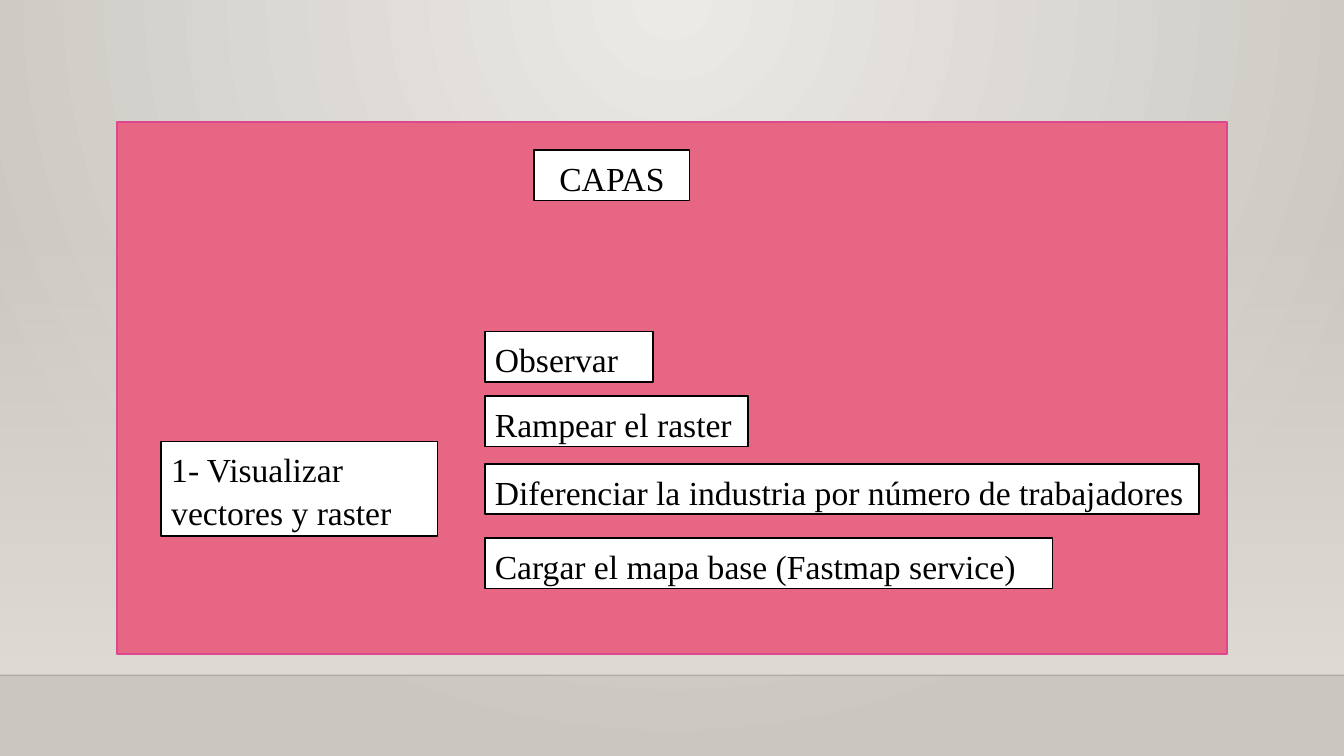
from lxml import etree
from pptx import Presentation
from pptx.dml.color import RGBColor
from pptx.enum.dml import MSO_FILL
from pptx.enum.shapes import MSO_CONNECTOR, MSO_SHAPE
from pptx.enum.text import MSO_ANCHOR, MSO_AUTO_SIZE, PP_ALIGN
from pptx.oxml import parse_xml
from pptx.oxml.ns import nsdecls, qn
from pptx.util import Inches, Pt

RECTANGLE = MSO_SHAPE.RECTANGLE
STRAIGHT = MSO_CONNECTOR.STRAIGHT
LEFT, CENTER = PP_ALIGN.LEFT, PP_ALIGN.CENTER
TOP = MSO_ANCHOR.TOP
GROW = MSO_AUTO_SIZE.SHAPE_TO_FIT_TEXT
SOLID = MSO_FILL.SOLID

WIDTH, HEIGHT = 13.33, 7.5
FLOOR_TOP = 6.7


def color(value):
    return RGBColor.from_string(value)


def gradient(stops, direction):
    """Gradient fill from (position, colour, opacity) stops in percent."""
    stop_xml = "".join(
        f'<a:gs pos="{position * 1000}"><a:srgbClr val="{value}">'
        f'<a:alpha val="{opacity * 1000}"/></a:srgbClr></a:gs>'
        for position, value, opacity in stops)
    return parse_xml(f'<a:gradFill {nsdecls("a")} rotWithShape="1">'
                     f'<a:gsLst>{stop_xml}</a:gsLst>{direction}</a:gradFill>')


def write_text(frame, text, size=24, font="Times New Roman", fill="000000",
               align=LEFT, line_spacing=1.07, space_after=8):
    frame.word_wrap = True
    frame.vertical_anchor = TOP
    frame.auto_size = GROW
    paragraph = frame.paragraphs[0]
    paragraph.alignment = align
    paragraph.line_spacing = line_spacing
    paragraph.space_after = Pt(space_after)
    run = paragraph.add_run()
    run.text = text
    run.font.size = Pt(size)
    run.font.name = font
    run.font.color.rgb = color(fill)


class SlideBuilder:
    line_width = 1.25
    box_fill = "FFFFFF"
    box_line = "000000"

    def __init__(self, slide):
        self.slide = slide

    def background(self, stops, direction):
        fill = self.slide.background.fill
        if fill.type != SOLID:
            fill.solid()
        solid = self.slide.element.find(".//" + qn("p:bgPr")).find(qn("a:solidFill"))
        solid.getparent().replace(solid, gradient(stops, direction))

    def rectangle(self, left, top, width, height, fill=None, line=None):
        shape = self.slide.shapes.add_shape(
            RECTANGLE, Inches(left), Inches(top), Inches(width), Inches(height))
        shape.shadow.inherit = False
        shape.fill.solid()
        shape.fill.fore_color.rgb = color(fill or self.box_fill)
        if line:
            shape.line.color.rgb = color(line)
            shape.line.width = Pt(self.line_width)
        else:
            shape.line.fill.background()
        return shape

    def gradient_band(self, left, top, width, height, stops, direction):
        properties = self.rectangle(left, top, width, height).element.spPr
        solid = properties.find(qn("a:solidFill"))
        properties.replace(solid, gradient(stops, direction))

    def label(self, text, left, top, width, height=0.5, **text_format):
        shape = self.rectangle(left, top, width, height, line=self.box_line)
        write_text(shape.text_frame, text, **text_format)

    def horizontal_line(self, left, right, y, fill, width, opacity):
        connector = self.slide.shapes.add_connector(
            STRAIGHT, Inches(left), Inches(y), Inches(right), Inches(y))
        connector.line.color.rgb = color(fill)
        connector.line.width = Pt(width)
        properties = connector.element.spPr
        line_color = properties.find(".//" + qn("a:srgbClr"))
        etree.SubElement(line_color, qn("a:alpha"), val=str(opacity * 1000))
        etree.SubElement(properties, qn("a:effectLst"))


def main():
    presentation = Presentation()
    presentation.slide_width = Inches(WIDTH)
    presentation.slide_height = Inches(HEIGHT)
    builder = SlideBuilder(presentation.slides.add_slide(presentation.slide_layouts[6]))

    # Backdrop with a wall and a floor
    builder.background(
        [(0, "ECEAE7", 100), (100, "CAC7C1", 100)],
        '<a:path path="circle">'
        '<a:fillToRect l="43000" t="0" r="43000" b="100000"/></a:path>')
    builder.gradient_band(
        0, 2.21, WIDTH, FLOOR_TOP - 2.21,
        [(0, "DFDBD5", 0), (100, "DFDBD5", 100)],
        '<a:lin ang="5400000" scaled="0"/>')
    builder.horizontal_line(0, WIDTH, FLOOR_TOP, "000001", width=1, opacity=20)

    # Pink panel with its title and step
    builder.rectangle(1.16, 1.21, 11.01, 5.28, fill="E66684", line="DE478E")
    builder.label("CAPAS", 5.3, 1.49, 1.54, align=CENTER)
    builder.label("1- Visualizar vectores y raster", 1.6, 4.38, 2.74, height=0.94)

    # Tasks of the step
    tasks = [
        ("Observar", 3.29, 1.67),
        ("Rampear el raster", 3.93, 2.61),
        ("Diferenciar la industria por número de trabajadores", 4.6, 7.08),
        ("Cargar el mapa base (Fastmap service)", 5.34, 5.63),
    ]
    for text, top, width in tasks:
        builder.label(text, 4.81, top, width)

    presentation.save("out.pptx")


if __name__ == "__main__":
    main()
